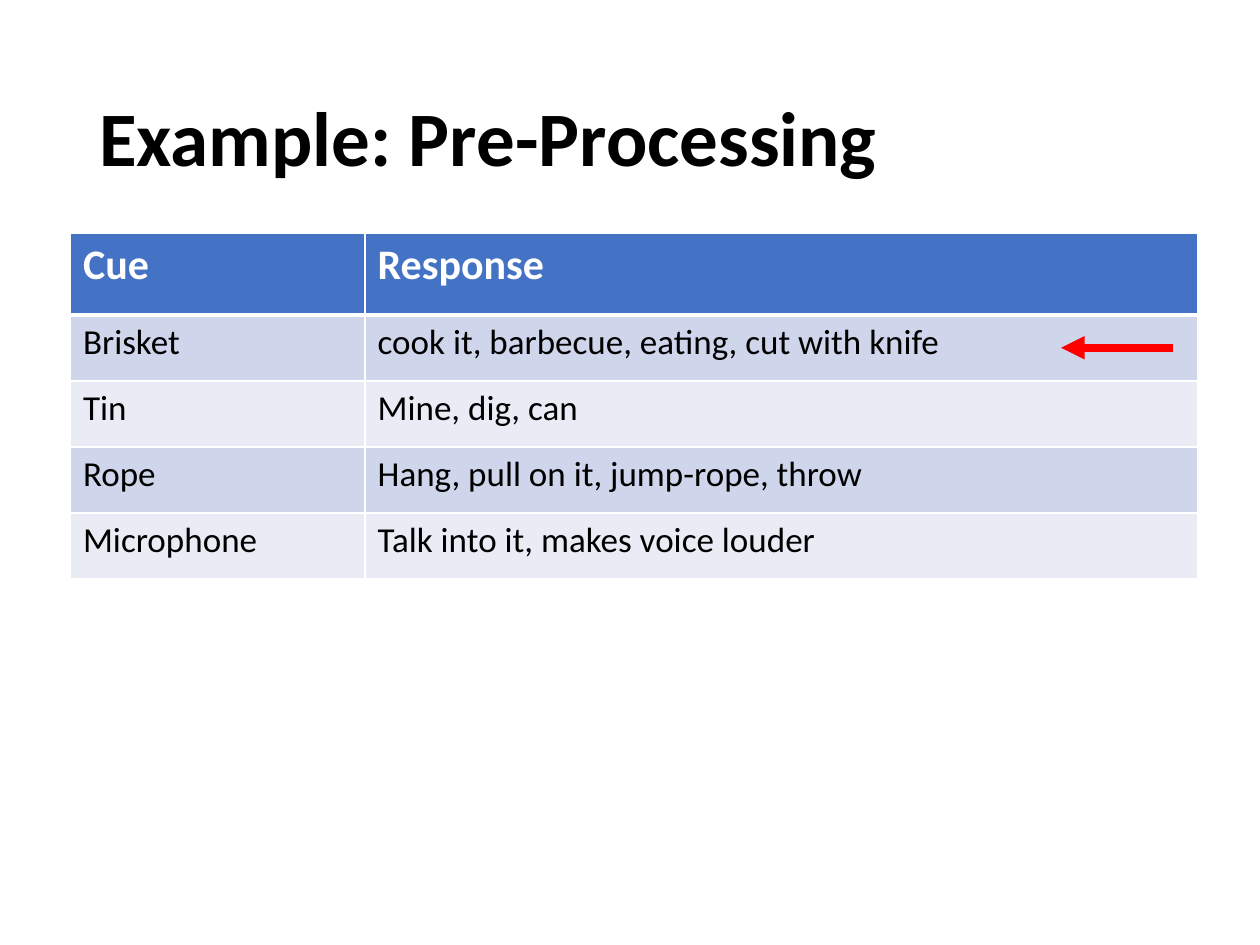
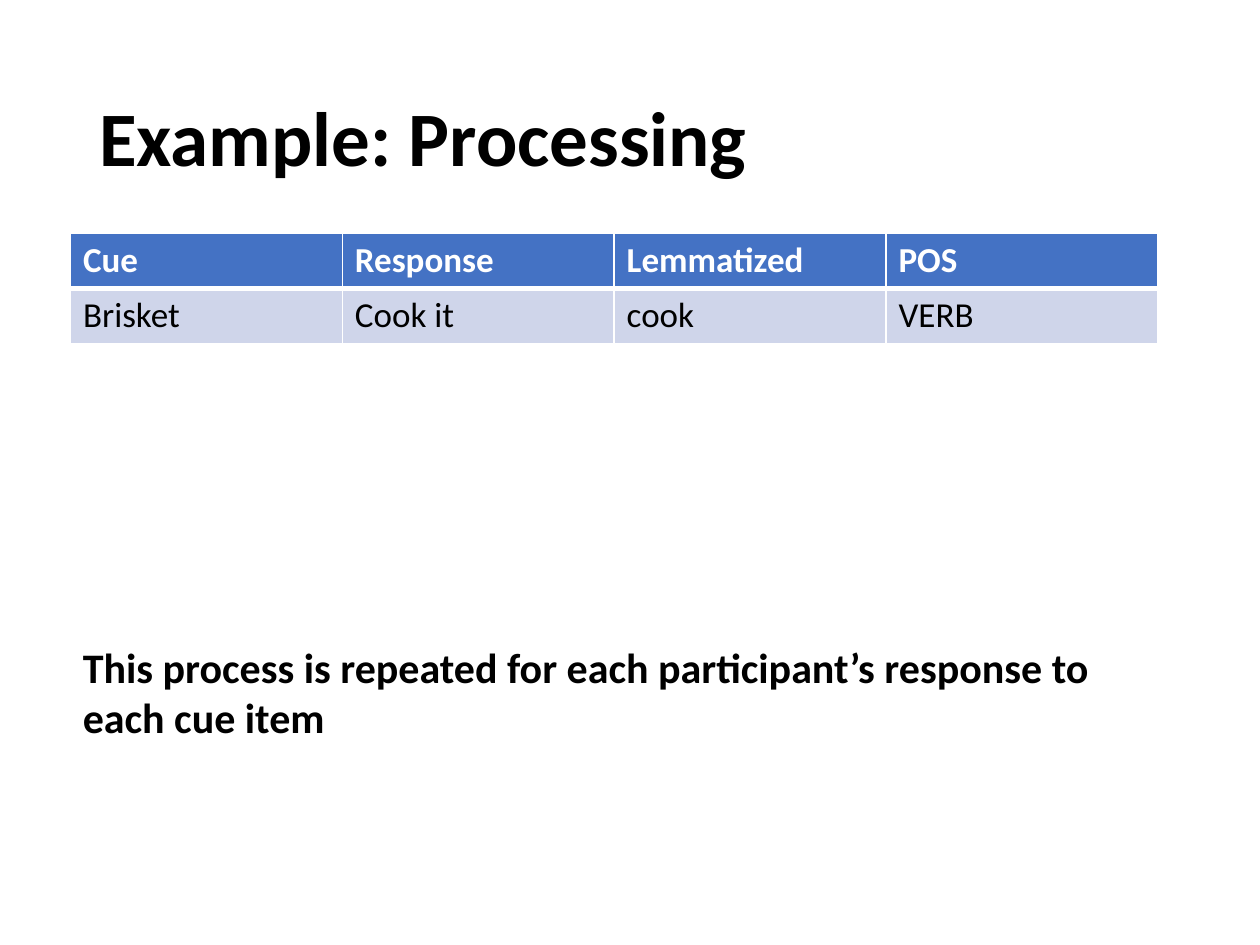
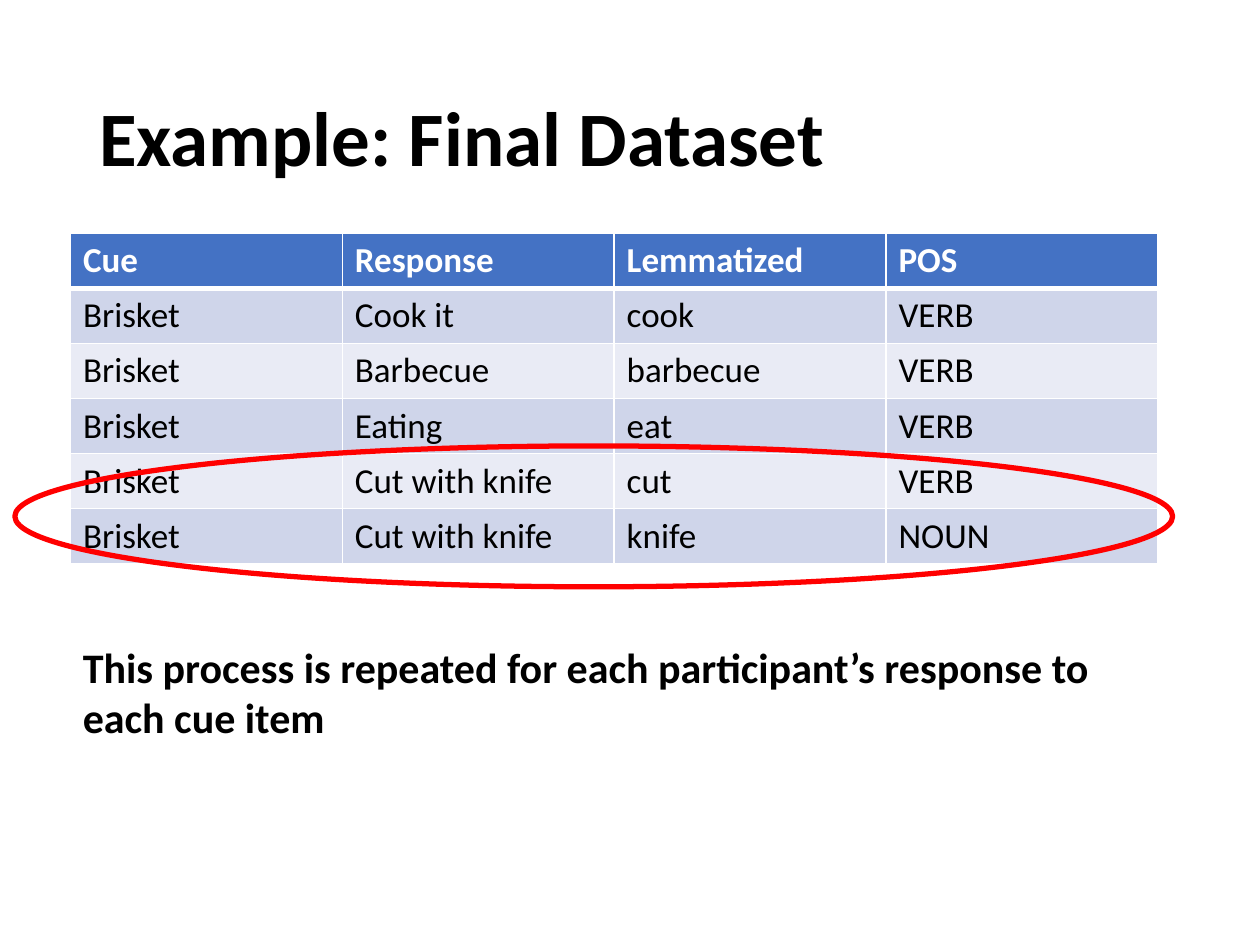
"""Build three slides that walk through processing cue and response data."""
import pptx
import pptx.dml.color
import pptx.enum.shapes
import pptx.enum.text
import pptx.oxml.ns
import pptx.util
from lxml import etree

Cm = pptx.util.Cm
Pt = pptx.util.Pt

FONT = "Calibri"
BLACK, WHITE, RED = "000000", "FFFFFF", "FF0000"
HEADER_BLUE = "4472C4"
BANDS = ("CFD5EA", "E9EBF5")

TABLE_LEFT, TABLE_TOP = 1.42, 4.7
TITLE_BOX = (1.75, 1.02, 21.9, 3.68)
NOTE_BOX = (TABLE_LEFT, 12.8, 21.56, 2.31)
ARROW_ENDS = (23.65, 7.01, 21.39, 7.01)
RING_BOX = (0.3, 8.99, 23.34, 2.84)

WORD_COLUMNS = (5.48,) * 4
WORD_HEADER = ("Cue", "Response", "Lemmatized", "POS")
FIRST_WORD = ("Brisket", "Cook it", "cook", "VERB")
REPEAT_NOTE = "This process is repeated for each participant’s response to each cue item"

SLIDES = [
    {
        "title": "Example: Pre-Processing",
        "columns": (5.94, 16.78),
        "header_height": 1.65,
        "row_height": 1.33,
        "header_size": 24,
        "rows": [
            ("Cue", "Response"),
            ("Brisket", "cook it, barbecue, eating, cut with knife"),
            ("Tin", "Mine, dig, can"),
            ("Rope", "Hang, pull on it, jump-rope, throw"),
            ("Microphone", "Talk into it, makes voice louder"),
        ],
        "arrow": ARROW_ENDS,
    },
    {
        "title": "Example: Processing",
        "rows": [WORD_HEADER, FIRST_WORD],
        "note": REPEAT_NOTE,
    },
    {
        "title": "Example: Final Dataset",
        "rows": [
            WORD_HEADER,
            FIRST_WORD,
            ("Brisket", "Barbecue", "barbecue", "VERB"),
            ("Brisket", "Eating", "eat", "VERB"),
            ("Brisket", "Cut with knife", "cut", "VERB"),
            ("Brisket", "Cut with knife", "knife", "NOUN"),
        ],
        "note": REPEAT_NOTE,
        "ring": RING_BOX,
    },
]


def lengths(values):
    return [Cm(value) for value in values]


def rgb(color):
    return pptx.dml.color.RGBColor.from_string(color)


def add_element(parent, tag, **attributes):
    return etree.SubElement(parent, pptx.oxml.ns.qn(tag), **attributes)


def write(frame, text, size, color, bold):
    frame.text = text
    for run in frame.paragraphs[0].runs:
        run.font.name = FONT
        run.font.size = Pt(size)
        run.font.bold = bold
        run.font.color.rgb = rgb(color)


def add_text(slide, box, text, size):
    frame = slide.shapes.add_textbox(*lengths(box)).text_frame
    frame.word_wrap = True
    write(frame, text, size, BLACK, True)
    return frame


def add_title(slide, text):
    frame = add_text(slide, TITLE_BOX, text, 44)
    frame.vertical_anchor = pptx.enum.text.MSO_ANCHOR.MIDDLE
    frame.paragraphs[0].line_spacing = 0.9


def add_borders(cell, top, bottom):
    properties = cell._tc.get_or_add_tcPr()
    for side, width in (("L", 1), ("R", 1), ("T", top), ("B", bottom)):
        border = add_element(properties, f"a:ln{side}", w=str(Pt(width)))
        add_element(add_element(border, "a:solidFill"), "a:srgbClr", val=WHITE)


def add_word_table(slide, content):
    rows = content["rows"]
    columns = content.get("columns", WORD_COLUMNS)
    row_height = content.get("row_height", 1.11)
    heights = [content.get("header_height", row_height)] + [row_height] * (len(rows) - 1)
    table = slide.shapes.add_table(
        len(rows), len(columns),
        *lengths((TABLE_LEFT, TABLE_TOP, sum(columns), sum(heights))),
    ).table
    for column, width in zip(table.columns, columns):
        column.width = Cm(width)
    for index, (words, height) in enumerate(zip(rows, heights)):
        table.rows[index].height = Cm(height)
        header = index == 0
        size = content.get("header_size", 20) if header else 20
        for cell, word in zip(table.rows[index].cells, words):
            write(cell.text_frame, word, size, WHITE if header else BLACK, header)
            add_borders(cell, 3 if index == 1 else 1, 3 if header else 1)
            cell.fill.solid()
            cell.fill.fore_color.rgb = rgb(HEADER_BLUE if header else BANDS[(index - 1) % 2])


def add_arrow(slide, ends):
    arrow = slide.shapes.add_connector(
        pptx.enum.shapes.MSO_CONNECTOR.STRAIGHT, *lengths(ends))
    arrow.line.color.rgb = rgb(RED)
    arrow.line.width = Pt(4.5)
    add_element(arrow.line._get_or_add_ln(), "a:tailEnd", type="triangle")
    add_element(arrow._element.spPr, "a:effectLst")


def add_ring(slide, box):
    ring = slide.shapes.add_shape(pptx.enum.shapes.MSO_SHAPE.OVAL, *lengths(box))
    ring.shadow.inherit = False
    ring.fill.background()
    ring.line.color.rgb = rgb(RED)
    ring.line.width = Pt(3)


def main():
    deck = pptx.Presentation()
    deck.slide_width, deck.slide_height = lengths((25.4, 19.05))
    for content in SLIDES:
        slide = deck.slides.add_slide(deck.slide_layouts[6])
        add_title(slide, content["title"])
        add_word_table(slide, content)
        if "note" in content:
            add_text(slide, NOTE_BOX, content["note"], 24)
        if "arrow" in content:
            add_arrow(slide, content["arrow"])
        if "ring" in content:
            add_ring(slide, content["ring"])
    deck.save("out.pptx")


if __name__ == "__main__":
    main()
